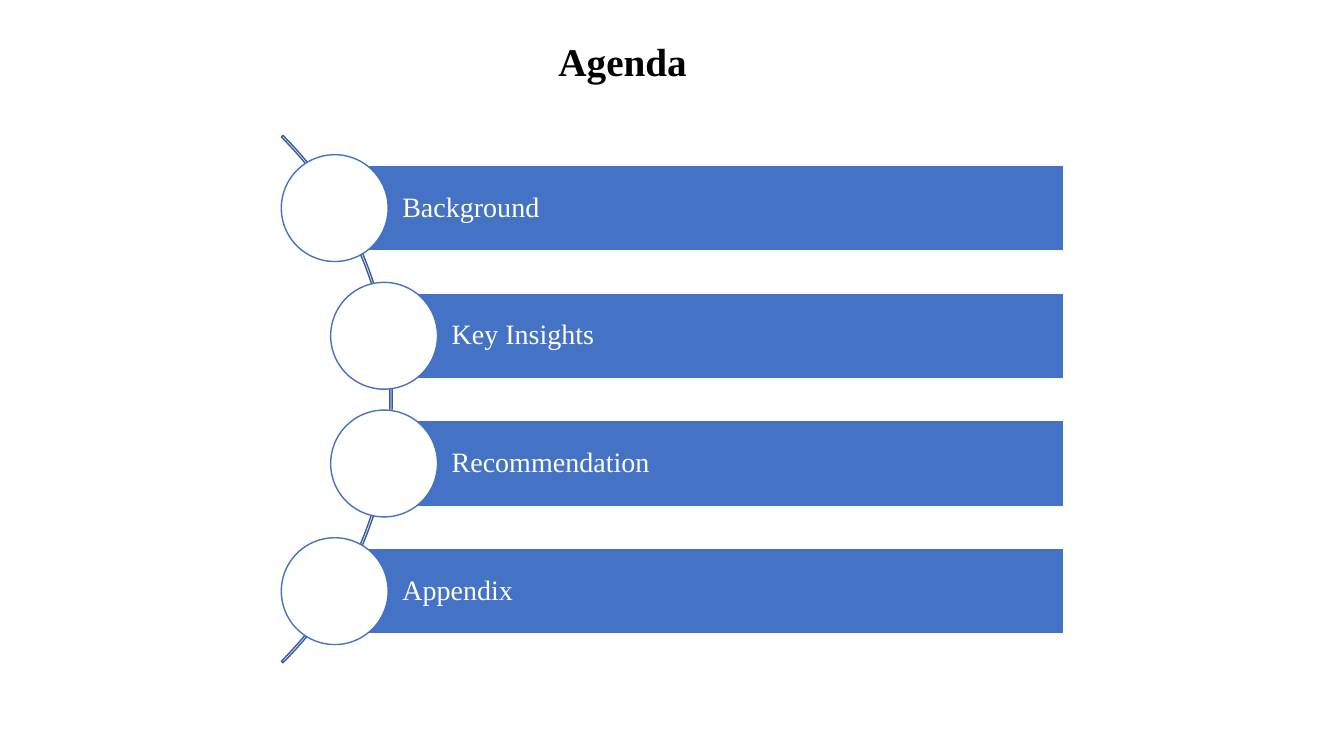
from dataclasses import dataclass

from pptx import Presentation
from pptx.dml.color import RGBColor
from pptx.enum.shapes import MSO_SHAPE
from pptx.enum.text import MSO_ANCHOR, MSO_AUTO_SIZE, PP_ALIGN
from pptx.shapes.autoshape import Shape
from pptx.slide import Slide
from pptx.text.text import _Paragraph as Paragraph
from pptx.util import Inches, Pt

RECTANGLE, OVAL, BLOCK_ARC = MSO_SHAPE.RECTANGLE, MSO_SHAPE.OVAL, MSO_SHAPE.BLOCK_ARC
MIDDLE, LEFT = MSO_ANCHOR.MIDDLE, PP_ALIGN.LEFT
FIT_SHAPE = MSO_AUTO_SIZE.SHAPE_TO_FIT_TEXT


@dataclass(frozen=True)
class Theme:
    font: str = "Times New Roman"
    title_size: int = 28
    item_size: int = 20
    line_width: int = 1
    black: RGBColor = RGBColor(0x00, 0x00, 0x00)
    white: RGBColor = RGBColor(0xFF, 0xFF, 0xFF)
    blue: RGBColor = RGBColor(0x44, 0x72, 0xC4)
    dark_blue: RGBColor = RGBColor(0x36, 0x5B, 0x9D)


@dataclass(frozen=True)
class AgendaItem:
    label: str
    left: float


@dataclass(frozen=True)
class Box:
    left: float
    top: float
    width: float
    height: float


THEME = Theme()
OUTER_LEFT, INNER_LEFT = 3.32, 3.81
AGENDA = [
    AgendaItem("Background", OUTER_LEFT),
    AgendaItem("Key Insights", INNER_LEFT),
    AgendaItem("Recommendation", INNER_LEFT),
    AgendaItem("Appendix", OUTER_LEFT),
]
BAR_RIGHT, BAR_HEIGHT = 10.55, 0.85
FIRST_TOP, LAST_TOP = 1.64, 5.44
ROW_PITCH = (LAST_TOP - FIRST_TOP) / (len(AGENDA) - 1)
CIRCLE_SIZE = 1.06
LABEL_INDENT, LABEL_INSET = 0.67, 0.06


def add_figure(slide: Slide, kind: MSO_SHAPE, box: Box,
               fill: RGBColor | None, line: RGBColor) -> Shape:
    figure = slide.shapes.add_shape(kind, Inches(box.left), Inches(box.top),
                                    Inches(box.width), Inches(box.height))
    figure.shadow.inherit = False
    if fill is None:
        figure.fill.background()
    else:
        figure.fill.solid()
        figure.fill.fore_color.rgb = fill
    figure.line.color.rgb = line
    figure.line.width = Pt(THEME.line_width)
    return figure


def write(paragraph: Paragraph, words: str, size: int, color: RGBColor,
          bold: bool = False) -> None:
    paragraph.text = words
    paragraph.alignment = LEFT
    paragraph.font.name = THEME.font
    paragraph.font.size = Pt(size)
    paragraph.font.bold = bold
    paragraph.font.color.rgb = color


def add_title(slide: Slide) -> None:
    title = slide.shapes.add_textbox(Inches(5.44), Inches(0.32), Inches(1.49), Inches(0.57))
    title.text_frame.word_wrap = False
    title.text_frame.auto_size = FIT_SHAPE
    write(title.text_frame.paragraphs[0], "Agenda", THEME.title_size, THEME.black, bold=True)


def add_spine(slide: Slide) -> None:
    spine = add_figure(slide, BLOCK_ARC, Box(-3.51, 0.26, 7.4, 7.4), None, THEME.dark_blue)
    start_angle, end_angle, thickness_percent = 189, 27, 0.3
    spine.adjustments[0] = start_angle
    spine.adjustments[1] = end_angle
    spine.adjustments[2] = thickness_percent / 100


def add_agenda_item(slide: Slide, item: AgendaItem, top: float) -> None:
    bar = add_figure(slide, RECTANGLE, Box(item.left, top, BAR_RIGHT - item.left, BAR_HEIGHT),
                     THEME.blue, THEME.white)
    frame = bar.text_frame
    frame.word_wrap = True
    frame.vertical_anchor = MIDDLE
    frame.margin_left = Inches(LABEL_INDENT)
    frame.margin_top = frame.margin_right = frame.margin_bottom = Inches(LABEL_INSET)
    label = frame.paragraphs[0]
    write(label, item.label, THEME.item_size, THEME.white)
    label.line_spacing = 0.9

    circle_top = top + (BAR_HEIGHT - CIRCLE_SIZE) / 2
    add_figure(slide, OVAL,
               Box(item.left - CIRCLE_SIZE / 2, circle_top, CIRCLE_SIZE, CIRCLE_SIZE),
               THEME.white, THEME.blue)


def main() -> None:
    presentation = Presentation()
    presentation.slide_width = Inches(13.33)
    presentation.slide_height = Inches(7.5)
    slide = presentation.slides.add_slide(presentation.slide_layouts[6])
    add_title(slide)
    add_spine(slide)
    for row, item in enumerate(AGENDA):
        add_agenda_item(slide, item, FIRST_TOP + row * ROW_PITCH)
    presentation.save("out.pptx")


if __name__ == "__main__":
    main()
